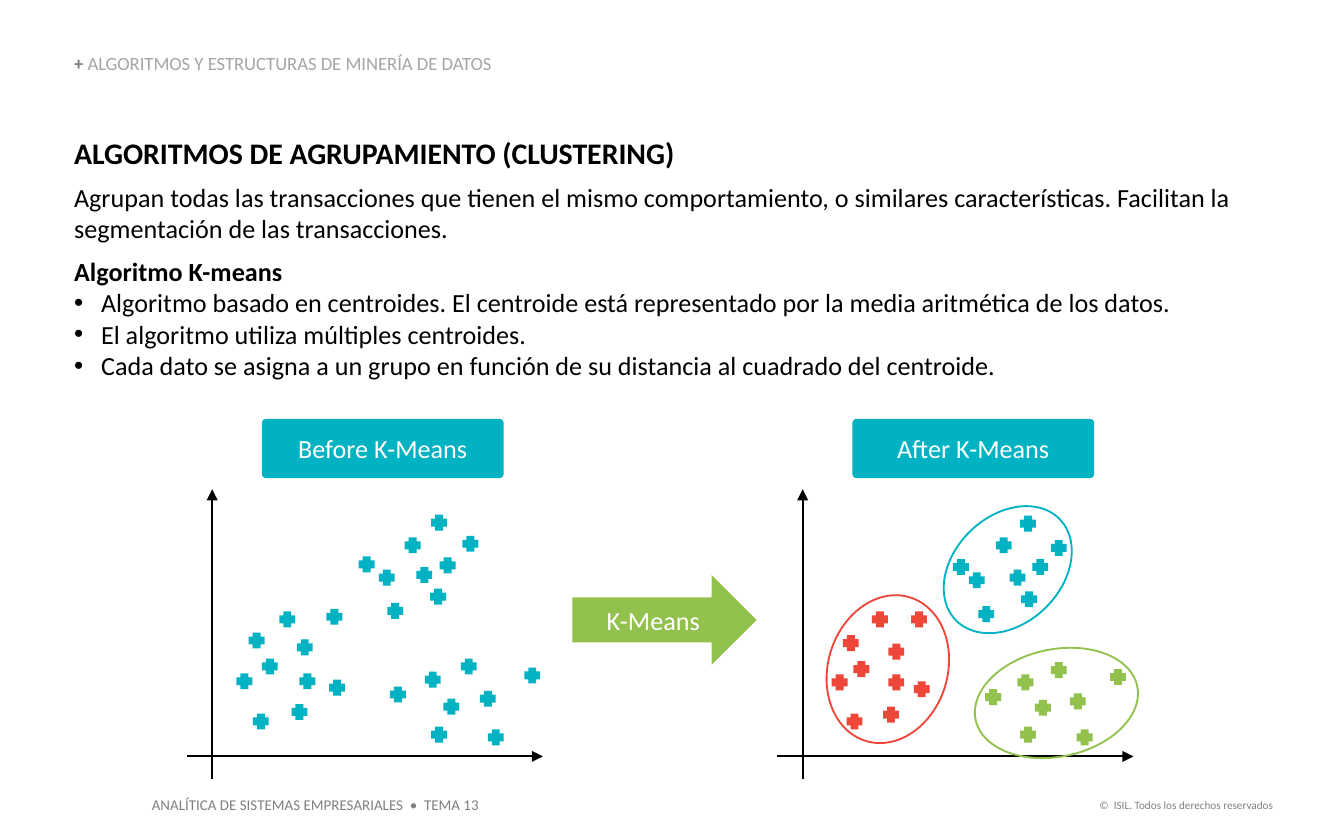
from lxml import etree
from pptx import Presentation
from pptx.dml.color import RGBColor
from pptx.enum.shapes import MSO_CONNECTOR, MSO_SHAPE
from pptx.enum.text import MSO_ANCHOR, MSO_AUTO_SIZE, PP_ALIGN
from pptx.oxml.ns import qn
from pptx.util import Cm, Pt

STRAIGHT = MSO_CONNECTOR.STRAIGHT
PLUS = MSO_SHAPE.CROSS
ELLIPSE = MSO_SHAPE.OVAL
ROUNDED = MSO_SHAPE.ROUNDED_RECTANGLE
ARROW = MSO_SHAPE.RIGHT_ARROW
TOP, MIDDLE, BOTTOM = MSO_ANCHOR.TOP, MSO_ANCHOR.MIDDLE, MSO_ANCHOR.BOTTOM
LEFT, CENTER, RIGHT = PP_ALIGN.LEFT, PP_ALIGN.CENTER, PP_ALIGN.RIGHT
FIXED = MSO_AUTO_SIZE.NONE

FONT = "Calibri"
BLACK, WHITE, GRAY = "000000", "FFFFFF", "808080"
TEAL, RED, GREEN = "00B2C2", "EE4639", "92C14D"
MARK_SIZE = 0.3
PANEL_STEP = 11.16

BODY = [
    ("ALGORITMOS DE AGRUPAMIENTO (CLUSTERING)", 16, True, False, 6),
    ("Agrupan todas las transacciones que tienen el mismo comportamiento, o similares "
     "características. Facilitan la segmentación de las transacciones.", 14, False, False, 6),
    ("Algoritmo K-means", 14, True, False, 0),
    ("Algoritmo basado en centroides. El centroide está representado por la media "
     "aritmética de los datos.", 14, False, True, 0),
    ("El algoritmo utiliza múltiples centroides.", 14, False, True, 0),
    ("Cada dato se asigna a un grupo en función de su distancia al cuadrado del centroide.",
     14, False, True, 0),
]

BEFORE_POINTS = [
    (8.15, 9.73), (7.65, 10.16), (8.74, 10.13), (8.31, 10.54), (7.87, 10.72),
    (8.13, 11.13), (7.16, 10.77), (6.78, 10.52), (7.32, 11.4), (6.17, 11.51),
    (5.28, 11.56), (4.7, 11.96), (5.61, 12.09), (5.66, 12.73), (4.95, 12.45),
    (4.47, 12.73), (4.78, 13.49), (5.51, 13.31), (6.22, 12.85), (7.37, 12.98),
    (8.03, 12.7), (8.71, 12.45), (9.91, 12.62), (9.07, 13.06), (8.38, 13.21),
    (8.15, 13.74), (9.22, 13.79),
]
RED_POINTS = [
    (16.48, 11.56), (17.22, 11.56), (16.79, 12.17), (15.93, 12.01), (16.13, 12.5),
    (15.72, 12.75), (16, 13.49), (16.69, 13.36), (16.79, 12.75), (17.27, 12.88),
]
TEAL_POINTS = [
    (18.01, 10.57), (18.31, 10.82), (18.82, 10.16), (19.28, 9.75), (19.86, 10.21),
    (19.51, 10.57), (19.08, 10.77), (18.49, 11.46), (19.3, 11.18),
]
GREEN_POINTS = [
    (19.86, 12.52), (20.98, 12.65), (20.22, 13.11), (20.35, 13.79), (19.28, 13.74),
    (19.56, 13.23), (19.23, 12.75), (18.62, 13.03),
]
CLUSTERS = [
    (RED, RED_POINTS, (15.65, 11.23, 2.26, 2.84), 17.1),
    (TEAL, TEAL_POINTS, (18.03, 9.4, 2.03, 2.74), 45.8),
    (GREEN, GREEN_POINTS, (18.95, 11.73, 2.03, 3.12), 78.3),
]


def color(value):
    """Turn a hex string into a colour."""
    return RGBColor.from_string(value)


def add_span(para, text, size, ink, bold=False):
    """Add one formatted run to a paragraph."""
    span = para.add_run()
    span.text = text
    span.font.name = FONT
    span.font.size = Pt(size)
    span.font.bold = bold
    span.font.color.rgb = color(ink)


def prepare_frame(box, anchor):
    """Give a text frame no margins, a fixed size and wrapped lines."""
    frame = box.text_frame
    frame.margin_left = frame.margin_right = frame.margin_top = frame.margin_bottom = 0
    frame.auto_size = FIXED
    frame.word_wrap = True
    frame.vertical_anchor = anchor
    return frame


def place(box, left, top, width, height):
    """Move and size a placeholder."""
    box.left, box.top, box.width, box.height = Cm(left), Cm(top), Cm(width), Cm(height)


def fill_title(box):
    """Write the section heading in the title placeholder."""
    place(box, 1.4, 1.04, 12.22, 0.38)
    para = prepare_frame(box, BOTTOM).paragraphs[0]
    para.alignment = LEFT
    para.line_spacing = 0.9
    add_span(para, "+ ", 10, "7F7F7F", True)
    add_span(para, "ALGORITMOS Y ESTRUCTURAS DE MINERÍA DE DATOS", 10, "A5A5A5")


def fill_body(box):
    """Write the explanation and its bullets in the body placeholder."""
    place(box, 1.4, 2.54, 22.25, 4.72)
    frame = prepare_frame(box, TOP)
    for index, (text, size, bold, bulleted, after) in enumerate(BODY):
        para = frame.add_paragraph() if index else frame.paragraphs[0]
        indent = Cm(0.51) if bulleted else 0
        properties = para._p.get_or_add_pPr()
        properties.set("marL", str(indent))
        properties.set("indent", str(-indent))
        if not bulleted:
            etree.SubElement(properties, qn("a:buNone"))
        para.space_before = Pt(0)
        para.space_after = Pt(after)
        add_span(para, text, size, BLACK, bold)


def add_footer(slide, text, size, alignment, *area):
    """Add a one-line footer."""
    box = slide.shapes.add_textbox(*map(Cm, area))
    box.text_frame.word_wrap = False
    para = box.text_frame.paragraphs[0]
    para.alignment = alignment
    add_span(para, text, size, GRAY)


def add_solid(slide, kind, fill, *area):
    """Add a filled shape without outline."""
    shape = slide.shapes.add_shape(kind, *map(Cm, area))
    shape.shadow.inherit = False
    shape.fill.solid()
    shape.fill.fore_color.rgb = color(fill)
    shape.line.fill.background()
    return shape


def write_label(shape, text):
    """Write white centred text in a shape."""
    para = prepare_frame(shape, MIDDLE).paragraphs[0]
    para.alignment = CENTER
    add_span(para, text, 14, WHITE)


def add_marks(slide, points, fill):
    """Add one plus mark for each data point."""
    for left, top in points:
        add_solid(slide, PLUS, fill, left, top, MARK_SIZE, MARK_SIZE)


def add_ring(slide, ink, area, rotation):
    """Add the tilted outline around a cluster."""
    ring = slide.shapes.add_shape(ELLIPSE, *map(Cm, area))
    ring.shadow.inherit = False
    ring.fill.background()
    ring.line.color.rgb = color(ink)
    ring.line.width = Pt(1)
    ring.rotation = rotation


def add_axis(slide, *ends):
    """Add a black axis with an arrowhead at its end."""
    axis = slide.shapes.add_connector(STRAIGHT, *map(Cm, ends))
    axis.line.color.rgb = color(BLACK)
    axis.line.width = Pt(1)
    properties = axis._element.spPr
    etree.SubElement(properties.find(qn("a:ln")), qn("a:tailEnd"), type="triangle")
    etree.SubElement(properties, qn("a:effectLst"))


def add_panel(slide, offset, text):
    """Add the axes and heading of one scatter panel."""
    add_axis(slide, 3.53 + offset, 14.3, 10.26 + offset, 14.3)
    add_axis(slide, 4.01 + offset, 14.73, 4.01 + offset, 9.25)
    heading = add_solid(slide, ROUNDED, TEAL, 4.95 + offset, 7.92, 4.57, 1.12)
    heading.adjustments[0] = 0.07
    write_label(heading, text)


def main():
    """Build the slide and save the deck."""
    deck = Presentation()
    deck.slide_width, deck.slide_height = Cm(25.4), Cm(15.88)
    slide = deck.slides.add_slide(deck.slide_layouts[1])
    fill_title(slide.shapes.title)
    fill_body(slide.placeholders[1])
    add_footer(slide, "ANALÍTICA DE SISTEMAS EMPRESARIALES  •  TEMA 13", 8, LEFT,
               2.62, 14.91, 6.71, 0.61)
    add_footer(slide, "©  ISIL. Todos los derechos reservados", 6, RIGHT,
               20.45, 14.96, 3.86, 0.51)
    for index, text in enumerate(("Before K-Means", "After K-Means")):
        add_panel(slide, index * PANEL_STEP, text)
    add_marks(slide, BEFORE_POINTS, TEAL)
    for ink, points, area, rotation in CLUSTERS:
        add_marks(slide, points, ink)
        add_ring(slide, ink, area, rotation)
    write_label(add_solid(slide, ARROW, GREEN, 10.82, 10.87, 3.48, 1.7), "K-Means")
    deck.save("out.pptx")


if __name__ == "__main__":
    main()
